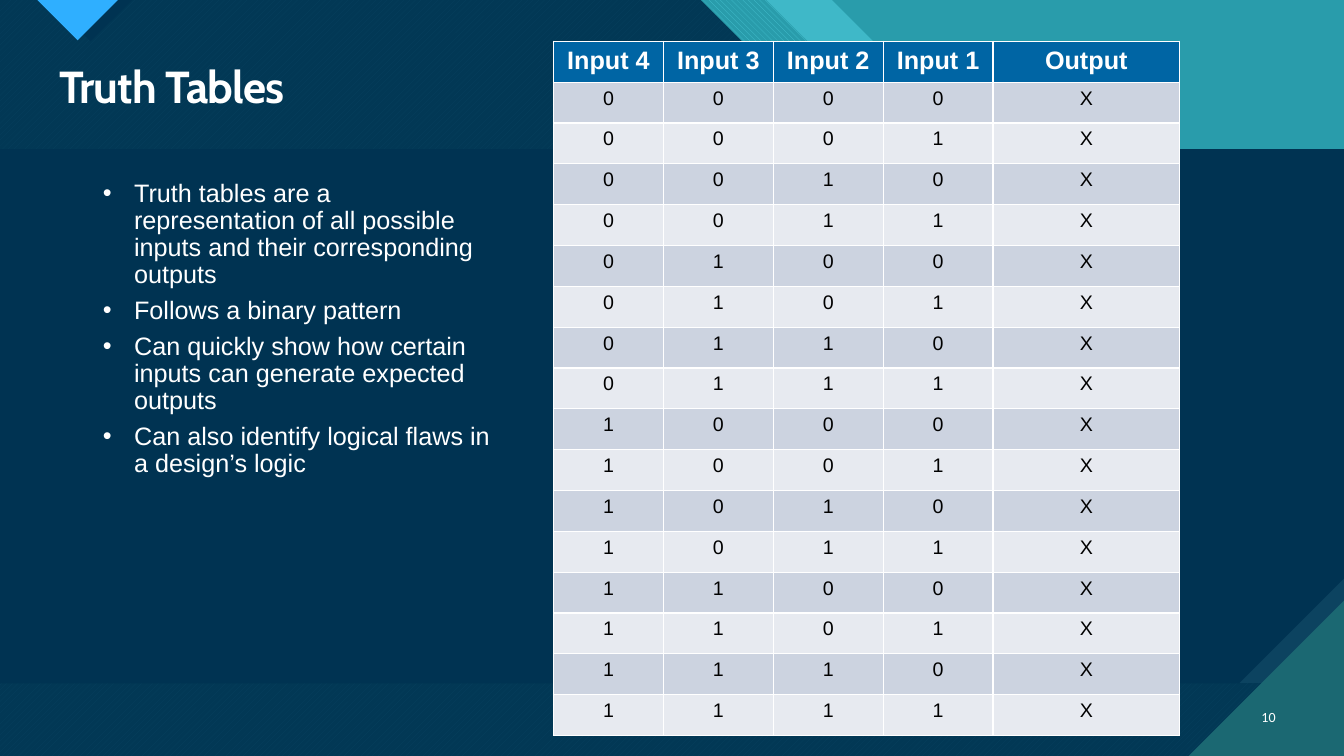
from pptx import Presentation
from pptx.dml.color import RGBColor
from pptx.enum.dml import MSO_PATTERN
from pptx.enum.shapes import MSO_SHAPE
from pptx.enum.text import MSO_ANCHOR, MSO_AUTO_SIZE, PP_ALIGN
from pptx.oxml.ns import qn
from pptx.util import Inches, Pt
from lxml.etree import SubElement
from itertools import product

W, H = 13.33, 7.5
C = {"white": "FFFFFF", "black": "000000", "navy": "003352", "slate": "0C4360",
     "aqua": "47C3D3", "teal": "299CAB", "pine": "1B6872", "sky": "2FAFFF",
     "header": "0065A4", "odd": "CCD3E0", "even": "E7EAF0"}
C = {name: RGBColor.from_string(value) for name, value in C.items()}

prs = Presentation()
prs.slide_width, prs.slide_height = Inches(W), Inches(H)
s = prs.slides.add_slide(prs.slide_layouts[1])
s.background.fill.solid()
s.background.fill.fore_color.rgb = C["aqua"]


def paint(sp, color, alpha=None, pattern=None, back=None):
    sp.shadow.inherit = False
    sp.line.fill.background()
    if pattern:
        sp.fill.patterned()
        sp.fill.pattern = pattern
        sp.fill.back_color.rgb = C[back]
    else:
        sp.fill.solid()
    sp.fill.fore_color.rgb = C[color]
    if alpha:
        clr = sp._element.spPr.find(qn("a:solidFill"))[0]
        SubElement(clr, qn("a:alpha")).set("val", str(alpha * 1000))


def add_run(p, text, size, color, font="Arial", bold=False):
    r = p.add_run()
    r.text = text
    r.font.name, r.font.size, r.font.bold = font, Pt(size), bold
    r.font.color.rgb = C[color]
    return r


# Backdrop: layered sheets, each with a stepped diagonal right edge
paint(s.shapes.add_shape(MSO_SHAPE.RECTANGLE, 0, 0, Inches(W), Inches(H)), "teal")


def sheet(x, flat):
    step = x + 2.97
    end = step + flat
    return [(0, 0), (x, 0), (step, 2.97), (end, 2.97), (W, 2.97 + W - end), (W, H), (0, H)]


outlines = [
    (sheet(8.25, 1.12), dict(color="aqua", alpha=74)),
    (sheet(7.6, 1.26), dict(color="aqua", back="teal",
                            pattern=MSO_PATTERN.WIDE_DOWNWARD_DIAGONAL)),
    (sheet(6.95, 1.26), dict(color="aqua", back="pine",
                             pattern=MSO_PATTERN.WIDE_UPWARD_DIAGONAL)),
    (sheet(6.95, 1.26), dict(color="navy", alpha=90)),
    # Top marker with its shadow
    ([(0.48, 0), (0.9, 0.41), (1.31, 0)], dict(color="navy")),
    ([(0.37, 0), (0.77, 0.4), (1.17, 0)], dict(color="sky")),
    # Content band, its snipped front, and the corner
    ([(0, 1.48), (W, 1.48), (W, 6.78), (0, 6.78)], dict(color="slate")),
    ([(0, 1.48), (W, 1.48), (W, 5.74), (W - 1.04, 6.78), (0, 6.78)], dict(color="navy")),
    ([(W - 1.54, H), (W, H), (W, H - 1.54)], dict(color="pine")),
]
for points, look in outlines:
    pts = [(Inches(x), Inches(y)) for x, y in points]
    fb = s.shapes.build_freeform(*pts[0])
    fb.add_line_segments(pts[1:], close=True)
    paint(fb.convert_to_shape(), **look)

# Title and bullets, raised above the backdrop
title, body = s.shapes.title, s.placeholders[1]
for sp, box in ((title, (0.49, 0.59, 12.26, 0.59)), (body, (0.92, 1.74, 4.05, 5.23))):
    s.shapes._spTree.append(sp._element)
    sp.left, sp.top, sp.width, sp.height = map(Inches, box)
    sp.text_frame.auto_size = MSO_AUTO_SIZE.NONE

tf = title.text_frame
tf.vertical_anchor = MSO_ANCHOR.MIDDLE
p = tf.paragraphs[0]
p.alignment, p.line_spacing = PP_ALIGN.LEFT, 0.9
r = add_run(p, "Truth Tables", 32, "white", "Cabin", True)
r._r.get_or_add_rPr().set("spc", "-70")

tf = body.text_frame
bullets = [
    "Truth tables are a representation of all possible inputs and their corresponding outputs",
    "Follows a binary pattern",
    "Can quickly show how certain inputs can generate expected outputs",
    "Can also identify logical flaws in a design’s logic",
]
for i, text in enumerate(bullets):
    p = tf.add_paragraph() if i else tf.paragraphs[0]
    p.line_spacing, p.space_before, p.space_after = 0.9, Pt(0), Pt(6)
    pPr = p._p.get_or_add_pPr()
    pPr.set("marL", str(Inches(0.31)))
    pPr.set("indent", str(-Inches(0.31)))
    SubElement(pPr, qn("a:buFont")).set("typeface", "Arial")
    SubElement(pPr, qn("a:buChar")).set("char", "•")
    add_run(p, text, 18, "white")

# Slide number
tf = s.shapes.add_textbox(Inches(12.31), Inches(6.91), Inches(0.44), Inches(0.4)).text_frame
tf.word_wrap, tf.vertical_anchor = True, MSO_ANCHOR.MIDDLE
tf.paragraphs[0].alignment = PP_ALIGN.RIGHT
add_run(tf.paragraphs[0], "10", 10, "white", "Calibri")

# Truth table: every combination of four inputs
rows = [["Input 4", "Input 3", "Input 2", "Input 1", "Output"]]
rows += [[*bits, "X"] for bits in product("01", repeat=4)]
table = s.shapes.add_table(len(rows), 5, Inches(5.49), Inches(0.41),
                           Inches(6.21), Inches(6.89)).table
for col, width in zip(table.columns, [1.09] * 4 + [1.85]):
    col.width = Inches(width)
for i, row in enumerate(rows):
    fill = "header" if i == 0 else "odd" if i % 2 else "even"
    for j, text in enumerate(row):
        cell = table.cell(i, j)
        cell.fill.solid()
        cell.fill.fore_color.rgb = C[fill]
        p = cell.text_frame.paragraphs[0]
        p.alignment = PP_ALIGN.CENTER
        if i == 0:
            add_run(p, text, 18, "white", bold=True)
        else:
            add_run(p, text, 14, "black")

prs.save("out.pptx")
